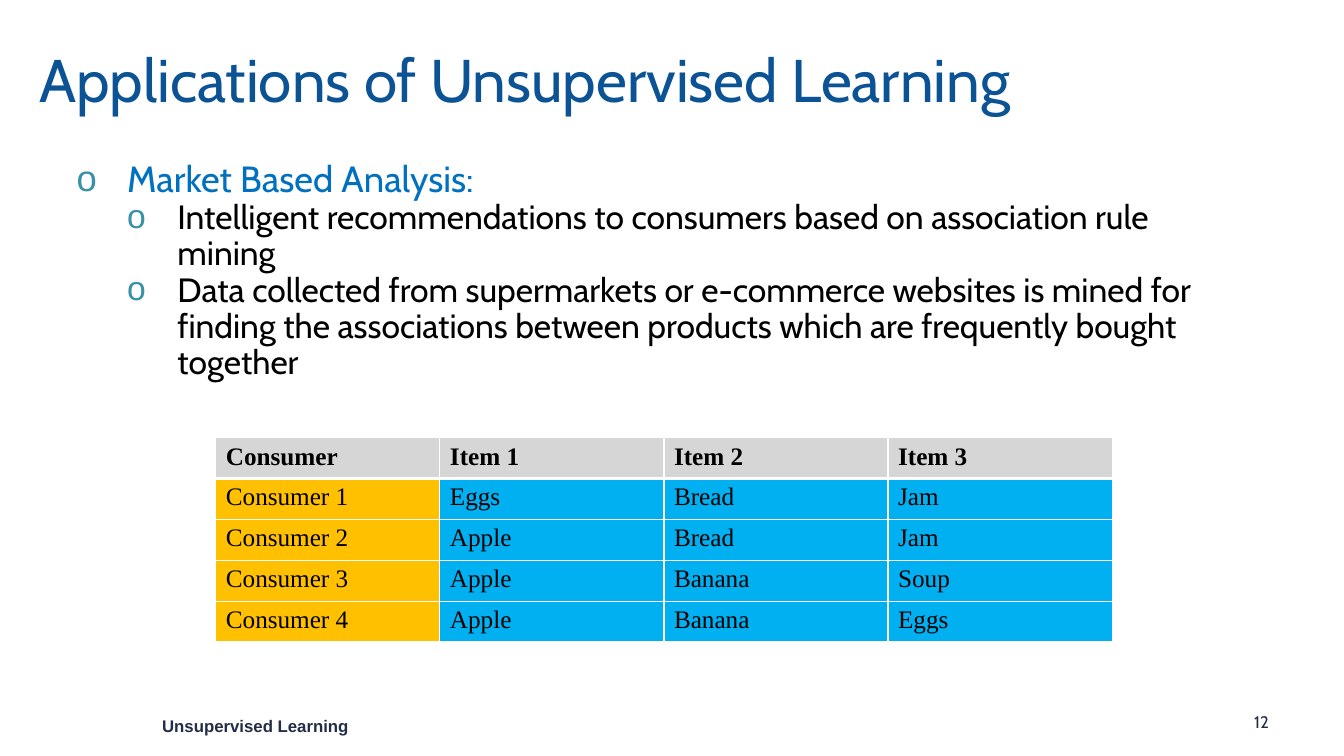
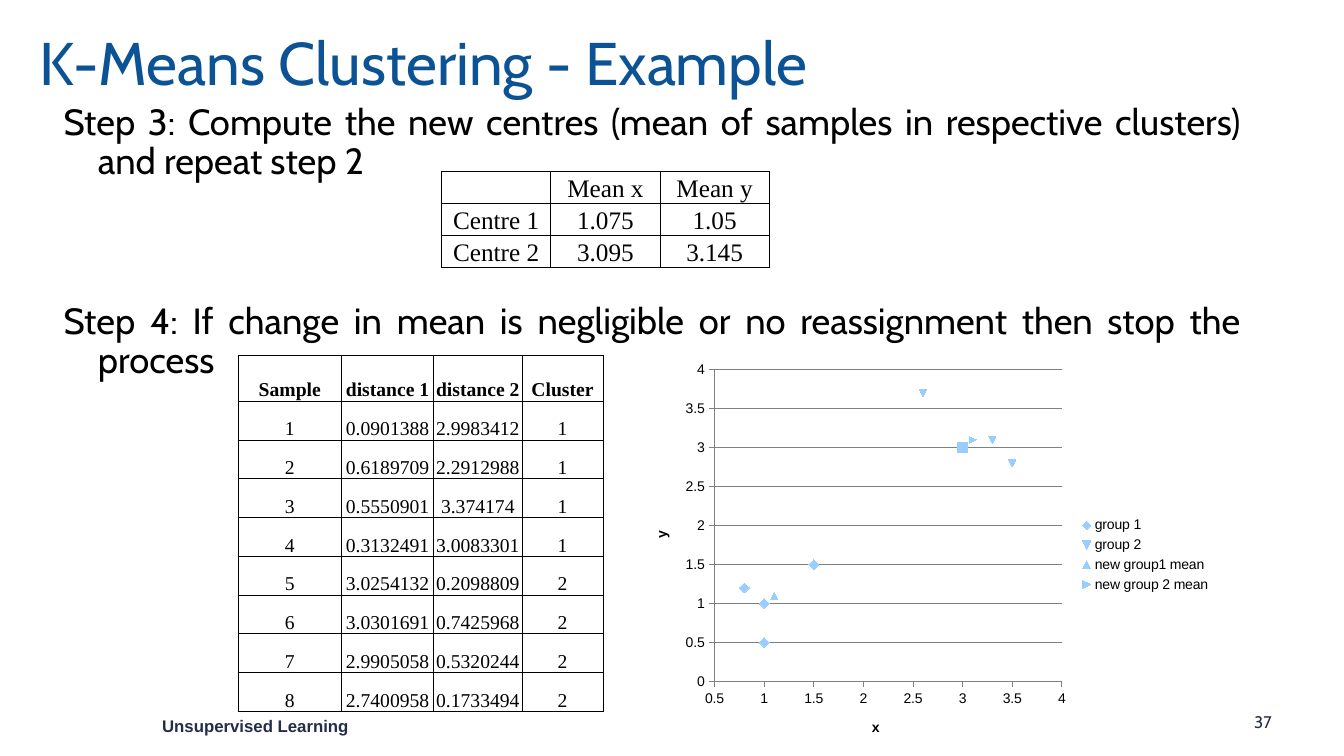
import pptx
import pptx.chart.data
import pptx.dml.color
import pptx.enum.chart
import pptx.enum.text
import pptx.oxml
import pptx.oxml.ns
import pptx.util
from pptx.util import Inches

COLORS = {
    "title": "0B5394",
    "heading": "0070C0",
    "text": "000000",
    "footer": "232D47",
    "bullet": "3891A7",
    "header_fill": "D6D6D6",
    "consumer_fill": "FFC000",
    "item_fill": "00B0F0",
    "white": "FFFFFF",
    "grid": "808080",
    "marker": "99CCFF",
}
TITLE_FONT = "Cabin"
TABLE_FONT = "Times New Roman"
CHART_FONT = "Arial"
ALIGN = pptx.enum.text.PP_ALIGN
ANCHOR = pptx.enum.text.MSO_ANCHOR


def rgb(name):
    return pptx.dml.color.RGBColor.from_string(COLORS[name])


def set_font(font, name, size, color="text", bold=False):
    font.name = name
    font.size = pptx.util.Pt(size)
    font.bold = bold
    font.color.rgb = rgb(color)


def xml(markup):
    namespaces = pptx.oxml.ns.nsdecls("a", "c")
    return pptx.oxml.parse_xml(f"<a:part {namespaces}>{markup}</a:part>")[0]


def place(shape, left, top, width, height):
    shape.left, shape.top = Inches(left), Inches(top)
    shape.width, shape.height = Inches(width), Inches(height)


# Shared slide parts
def add_slide(presentation, title, title_height, number):
    slide = presentation.slides.add_slide(presentation.slide_layouts[1])
    place(slide.shapes.title, 0.29, 0.1, 11.5, title_height)
    frame = slide.shapes.title.text_frame
    frame.auto_size = pptx.enum.text.MSO_AUTO_SIZE.NONE
    frame.vertical_anchor = ANCHOR.MIDDLE
    frame.text = title
    paragraph = frame.paragraphs[0]
    paragraph.alignment = ALIGN.LEFT
    paragraph.line_spacing = 0.9
    set_font(paragraph.font, TITLE_FONT, 43, "title")
    add_label(slide, "Unsupervised Learning", 1.51, 7.05, 3.16, "Arial", True)
    add_label(slide, str(number), 12.34, 7.01, 0.67, TITLE_FONT, False)
    return slide


def add_label(slide, text, left, top, width, font, bold):
    box = slide.shapes.add_textbox(
        Inches(left), Inches(top), Inches(width), Inches(0.3))
    box.text_frame.word_wrap = True
    box.text_frame.text = text
    set_font(box.text_frame.paragraphs[0].font, font, 12, "footer", bold)


# Body text
def open_body(slide, left, top, width, height):
    body = slide.placeholders[1]
    place(body, left, top, width, height)
    body.text_frame.auto_size = pptx.enum.text.MSO_AUTO_SIZE.NONE
    return body.text_frame


def add_body_paragraph(frame, text, size, color="text", level=0, margin=0.5,
                       hanging=0.5, bullet=None, space_before=0,
                       alignment=ALIGN.LEFT):
    paragraph = frame.paragraphs[0]
    if paragraph.text:
        paragraph = frame.add_paragraph()
    paragraph.text = text
    paragraph.level = level
    paragraph.alignment = alignment
    paragraph.line_spacing = 0.9
    paragraph.space_before = pptx.util.Pt(space_before)
    properties = paragraph._p.get_or_add_pPr()
    properties.set("marL", str(Inches(margin)))
    properties.set("indent", str(-Inches(hanging)))
    if bullet:
        properties.append(xml(
            f'<a:buClr><a:srgbClr val="{COLORS["bullet"]}"/></a:buClr>'))
        properties.append(xml('<a:buFont typeface="Arial"/>'))
        properties.append(xml(f'<a:buChar char="{bullet}"/>'))
    else:
        properties.append(xml("<a:buNone/>"))
    set_font(paragraph.font, TITLE_FONT, size, color)


# Tables
def set_borders(cell, color, top, bottom, sides):
    properties = cell._tc.get_or_add_tcPr()
    for edge, width in zip("LRTB", (sides, sides, top, bottom)):
        properties.append(xml(
            f'<a:ln{edge} w="{pptx.util.Pt(width)}"><a:solidFill>'
            f'<a:srgbClr val="{COLORS[color]}"/></a:solidFill></a:ln{edge}>'))


def add_table(slide, rows, left, top, column_widths, row_heights, size,
              border, line, header_line, header_bold, fill_for=None,
              compact=True):
    frame = slide.shapes.add_table(
        len(rows), len(column_widths), Inches(left), Inches(top),
        Inches(sum(column_widths)), Inches(sum(row_heights)))
    table = frame.table
    table.first_row = table.horz_banding = False
    for column, width in zip(table.columns, column_widths):
        column.width = Inches(width)
    for row, height in zip(table.rows, row_heights):
        row.height = Inches(height)
    for row_index, values in enumerate(rows):
        for column_index, value in enumerate(values):
            cell = table.cell(row_index, column_index)
            set_borders(cell, border,
                        header_line if row_index == 1 else line,
                        header_line if row_index == 0 else line, line)
            if fill_for:
                cell.fill.solid()
                cell.fill.fore_color.rgb = rgb(
                    fill_for(row_index, column_index))
            else:
                cell.fill.background()
            cell.text = value
            paragraph = cell.text_frame.paragraphs[0]
            set_font(paragraph.font, TABLE_FONT, size,
                     bold=header_bold and row_index == 0)
            if compact:
                cell.margin_left = cell.margin_right = 0
                cell.margin_top = cell.margin_bottom = 0
                cell.vertical_anchor = ANCHOR.BOTTOM
                paragraph.alignment = ALIGN.CENTER


# Scatter chart
def format_axis(axis, title, minimum, gridlines):
    axis.minimum_scale, axis.maximum_scale = minimum, 4
    axis.major_unit = 0.5
    axis.major_tick_mark = pptx.enum.chart.XL_TICK_MARK.OUTSIDE
    axis.has_major_gridlines = gridlines
    axis.format.line.color.rgb = rgb("grid")
    if gridlines:
        axis.major_gridlines.format.line.color.rgb = rgb("grid")
    axis.tick_labels.number_format = "General"
    axis.tick_labels.number_format_is_linked = False
    set_font(axis.tick_labels.font, CHART_FONT, 10)
    axis.axis_title.text_frame.text = title
    set_font(axis.axis_title.text_frame.paragraphs[0].font,
             CHART_FONT, 10, bold=True)


def fill_marker(marker, style, size):
    marker.style = style
    marker.size = size
    marker.format.fill.solid()
    marker.format.fill.fore_color.rgb = rgb("marker")
    marker.format.line.fill.background()


def add_cluster_chart(slide, groups):
    data = pptx.chart.data.XyChartData()
    for name, points in groups:
        series = data.add_series(name)
        for x, y in points:
            series.add_data_point(x, y)
    chart = slide.shapes.add_chart(
        pptx.enum.chart.XL_CHART_TYPE.XY_SCATTER, Inches(6.27), Inches(3.51),
        Inches(5.84), Inches(3.99), data).chart
    set_font(chart.font, CHART_FONT, 10)
    chart.has_title = False
    chart.has_legend = True
    chart.legend.position = pptx.enum.chart.XL_LEGEND_POSITION.RIGHT
    chart.legend.include_in_layout = False
    set_font(chart.legend.font, CHART_FONT, 10)
    format_axis(chart.category_axis, "x", 0.5, False)
    format_axis(chart.value_axis, "y", 0, True)

    plot = chart.plots[0]
    plot.vary_by_categories = False
    styles = pptx.enum.chart.XL_MARKER_STYLE
    for index, series in enumerate(plot.series):
        series.format.line.fill.background()
        series.smooth = False
        if index == 0:
            fill_marker(series.marker, styles.DIAMOND, 7)
        else:
            fill_marker(series.marker, styles.AUTOMATIC, 5)
    # Sample used as the starting centre of group 2
    fill_marker(plot.series[1].points[3].marker, styles.SQUARE, 7)

    # Plot area position inside the chart
    plot_area = chart._chartSpace.chart.plotArea
    for layout in plot_area.findall(pptx.oxml.ns.qn("c:layout")):
        plot_area.remove(layout)
    bounds = "".join(f'<c:{key} val="{value}"/>' for key, value in (
        ("x", 0.14), ("y", 0.04), ("w", 0.59), ("h", 0.775)))
    plot_area.insert(0, xml(
        '<c:layout><c:manualLayout><c:layoutTarget val="inner"/>'
        '<c:xMode val="edge"/><c:yMode val="edge"/>'
        f'{bounds}</c:manualLayout></c:layout>'))


# Slides
def build_applications(presentation):
    slide = add_slide(
        presentation, "Applications of Unsupervised Learning", 1.45, 12)
    frame = open_body(slide, 0.66, 1.55, 11.3, 2.44)
    add_body_paragraph(frame, "Market Based Analysis:", 26, "heading",
                       bullet="o")
    for text in (
            "Intelligent recommendations to consumers based on association "
            "rule mining",
            "Data collected from supermarkets or e-commerce websites is mined "
            "for finding the associations between products which are "
            "frequently bought together"):
        add_body_paragraph(frame, text, 24, level=1, margin=1, bullet="o")

    def basket_fill(row, column):
        if row == 0:
            return "header_fill"
        return "item_fill" if column else "consumer_fill"

    baskets = [
        ("Consumer", "Item 1", "Item 2", "Item 3"),
        ("Consumer 1", "Eggs", "Bread", "Jam"),
        ("Consumer 2", "Apple", "Bread", "Jam"),
        ("Consumer 3", "Apple", "Banana", "Soup"),
        ("Consumer 4", "Apple", "Banana", "Eggs"),
    ]
    add_table(slide, baskets, 2.14, 4.34, [8.89 / 4] * 4, [2.03 / 5] * 5, 18,
              "white", 1, 3, True, basket_fill, compact=False)


def build_clustering(presentation):
    slide = add_slide(presentation, "K-Means Clustering - Example", 1.11, 37)
    frame = open_body(slide, 0.37, 0.98, 12.05, 5.86)
    steps = (
        ("Step 3: Compute the new centres (mean of samples in respective "
         "clusters) and repeat step 2", 0),
        ("Step 4: If change in mean is negligible or no reassignment then "
         "stop the process", 86),
    )
    for text, space_before in steps:
        add_body_paragraph(frame, text, 26, hanging=0.34,
                           space_before=space_before, alignment=ALIGN.JUSTIFY)

    centres = [
        ("", "Mean x", "Mean y"),
        ("Centre 1", "1.075", "1.05"),
        ("Centre 2", "3.095", "3.145"),
    ]
    add_table(slide, centres, 4.38, 1.7, [3.25 / 3] * 3, [0.95 / 3] * 3, 18,
              "text", 0.5, 0.5, False)

    distances = [
        ("Sample", "distance 1", "distance 2", "Cluster"),
        ("1", "0.0901388", "2.9983412", "1"),
        ("2", "0.6189709", "2.2912988", "1"),
        ("3", "0.5550901", "3.374174", "1"),
        ("4", "0.3132491", "3.0083301", "1"),
        ("5", "3.0254132", "0.2098809", "2"),
        ("6", "3.0301691", "0.7425968", "2"),
        ("7", "2.9905058", "0.5320244", "2"),
        ("8", "2.7400958", "0.1733494", "2"),
    ]
    add_table(slide, distances, 2.36, 3.52, [1.03, 0.91, 0.88, 0.8],
              [0.46] + [3.08 / 8] * 8, 14, "text", 0.5, 0.5, True)

    add_cluster_chart(slide, [
        ("group 1", [(1, 1), (1.5, 1.5), (1, 0.5), (0.8, 1.2)]),
        ("group 2", [(3.3, 3.1), (2.6, 3.7), (3.5, 2.8), (3, 3)]),
        ("new group1 mean", [(1.1, 1.1)]),
        ("new group 2 mean", [(3.1, 3.1)]),
    ])


def main():
    presentation = pptx.Presentation()
    presentation.slide_width = Inches(13.33)
    presentation.slide_height = Inches(7.5)
    build_applications(presentation)
    build_clustering(presentation)
    presentation.save("out.pptx")


if __name__ == "__main__":
    main()
